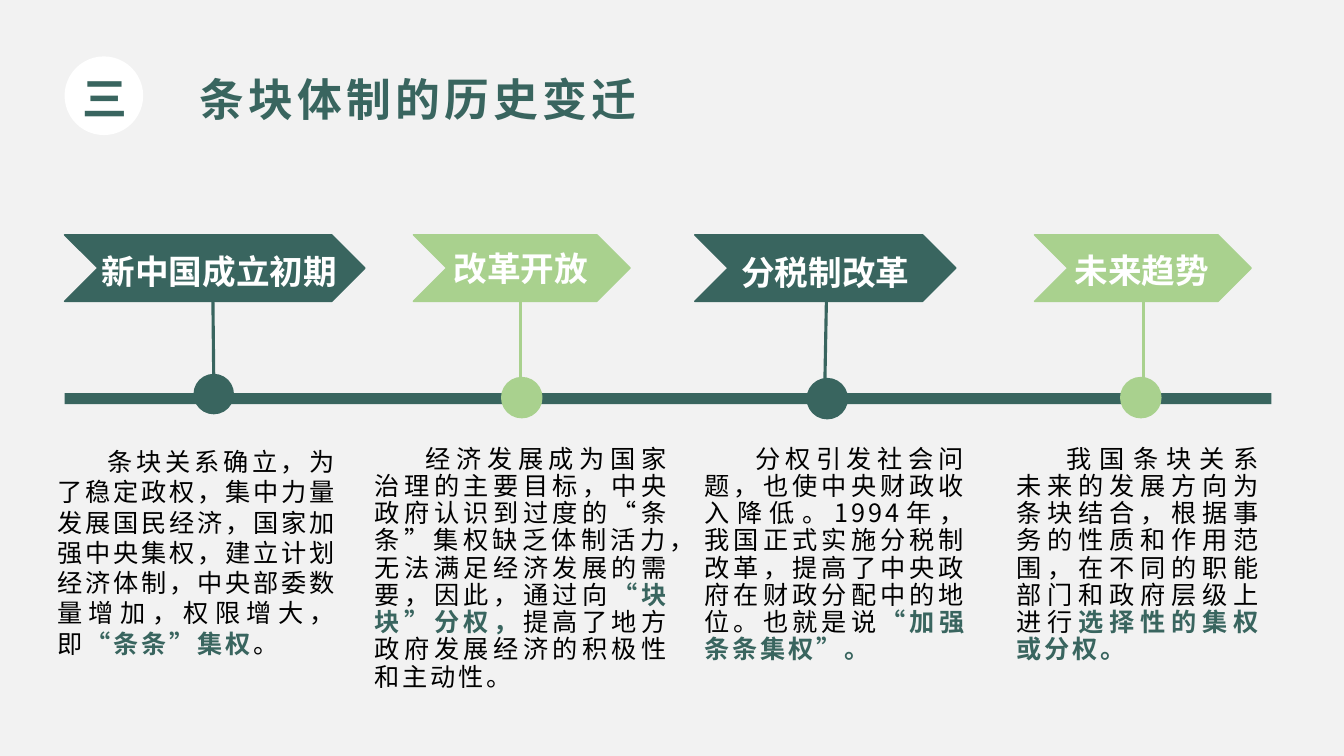
from lxml import etree
from pptx import Presentation
from pptx.dml.color import RGBColor
from pptx.enum.shapes import MSO_CONNECTOR, MSO_SHAPE
from pptx.enum.text import MSO_ANCHOR, MSO_AUTO_SIZE, PP_ALIGN
from pptx.oxml.ns import qn
from pptx.util import Inches, Pt

CENTER, JUSTIFY, LEFT = PP_ALIGN.CENTER, PP_ALIGN.JUSTIFY, PP_ALIGN.LEFT
TOP, MIDDLE = MSO_ANCHOR.TOP, MSO_ANCHOR.MIDDLE
RECTANGLE, ROUNDED = MSO_SHAPE.RECTANGLE, MSO_SHAPE.ROUNDED_RECTANGLE
OVAL, CHEVRON = MSO_SHAPE.OVAL, MSO_SHAPE.CHEVRON
STRAIGHT = MSO_CONNECTOR.STRAIGHT
GROW = MSO_AUTO_SIZE.SHAPE_TO_FIT_TEXT

FONT = "Noto Sans CJK SC"
COLORS = {"background": "F2F2F2", "dark": "39655F", "light": "A9D18E",
          "white": "FFFFFF", "black": "000000"}

# Content: boxes are (left, top, width, height), stems are (x1, y1, x2, y2), in inches
NUMBER, TITLE = "三", "条块体制的历史变迁"
CHEVRON_TOP, CHEVRON_HEIGHT, BODY_TOP = 2.33, 0.66, 4.38

STAGES = [
    {"label": "新中国成立初期", "color": "dark", "chevron": (0.64, 2.98),
     "label_box": (0.91, 2.24, 2.53, 0.71), "label_spacing": 1.5,
     "stem": (2.11, 2.81, 2.12, 3.73), "dot": (1.94, 3.73, 0.36),
     "body": (0.47, 2.98, 2.22), "spacing": 1.0,
     "runs": [("条块关系确立，为了稳定政权，集中力量发展国民经济，国家加强中央集权，"
               "建立计划经济体制，中央部委数量增加，权限增大，即", False),
              ("“条条”集权", True), ("。", False)]},
    {"label": "改革开放", "color": "light", "chevron": (4.1, 2.15),
     "label_box": (4.4, 2.41, 1.53, 0.5), "label_spacing": 1.0,
     "stem": (5.16, 2.81, 5.16, 4.03), "dot": (4.99, 3.76, 0.37),
     "body": (3.62, 3.12, 2.55), "spacing": 0.9,
     "runs": [("经济发展成为国家治理的主要目标，中央政府认识到过度的“条条”集权缺乏体制活力，"
               "无法满足经济发展的需要，因此，通过向", False),
              ("“块块”分权，", True),
              ("提高了地方政府发展经济的积极性和主动性。", False)]},
    {"label": "分税制改革", "color": "dark", "chevron": (6.89, 2.59),
     "label_box": None, "label_spacing": 1.5,
     "stem": (8.2, 2.81, 8.18, 3.86), "dot": (8.02, 3.77, 0.37),
     "body": (6.89, 2.8, 2.28), "spacing": 0.9,
     "runs": [("分权引发社会问题，也使中央财政收入降低。1994年，我国正式实施分税制改革，"
               "提高了中央政府在财政分配中的地位。也就是说", False),
              ("“加强条条集权”。", True)]},
    {"label": "未来趋势", "color": "light", "chevron": (10.26, 2.15),
     "label_box": (10.56, 2.23, 1.53, 0.71), "label_spacing": 1.5,
     "stem": (11.34, 2.73, 11.34, 3.95), "dot": (11.13, 3.76, 0.37),
     "body": (9.98, 2.63, 2.28), "spacing": 0.9,
     "runs": [("我国条块关系未来的发展方向为条块结合，根据事务的性质和作用范围，"
               "在不同的职能部门和政府层级上进行", False),
              ("选择性的集权或分权。", True)]},
]


def rgb(name):
    return RGBColor.from_string(COLORS[name])


def add_box(slide, kind, box, fill=None, line_width=0):
    shape = slide.shapes.add_shape(kind, *map(Inches, box))
    shape.shadow.inherit = False
    if fill:
        shape.fill.solid()
        shape.fill.fore_color.rgb = rgb(fill)
    else:
        shape.fill.background()
    if line_width:
        shape.line.color.rgb = rgb(fill)
        shape.line.width = Pt(line_width)
    else:
        shape.line.fill.background()
    return shape


def add_text_box(slide, box, wrap):
    text_box = slide.shapes.add_textbox(*map(Inches, box))
    text_box.text_frame.word_wrap = wrap
    text_box.text_frame.auto_size = GROW
    return text_box


def write(shape, runs, size, align=CENTER, tracking=0, spacing=1.0, anchor=TOP):
    """Write one paragraph of (text, color, bold) runs."""
    shape.text_frame.vertical_anchor = anchor
    paragraph = shape.text_frame.paragraphs[0]
    paragraph.alignment = align
    paragraph.line_spacing = spacing
    for text, color, bold in runs:
        run = paragraph.add_run()
        run.text = text
        run.font.size = Pt(size)
        run.font.bold = bold
        run.font.name = FONT
        run.font.color.rgb = rgb(color)
        properties = run.font._element
        etree.SubElement(properties, qn("a:ea")).set("typeface", FONT)
        if tracking:
            properties.set("spc", str(tracking * 100))
    return paragraph


def add_stem(slide, points, color):
    stem = slide.shapes.add_connector(STRAIGHT, *map(Inches, points))
    stem.line.color.rgb = rgb(color)
    stem.line.width = Pt(2.25)
    etree.SubElement(stem._element.spPr, qn("a:effectLst"))


def add_stage(slide, stage):
    color = stage["color"]
    add_stem(slide, stage["stem"], color)
    left, top, size = stage["dot"]
    add_box(slide, OVAL, (left, top, size, size), color, 3)

    # Chevron and its label
    left, width = stage["chevron"]
    label = add_box(slide, CHEVRON, (left, CHEVRON_TOP, width, CHEVRON_HEIGHT), color, 1)
    if stage["label_box"]:
        label = add_text_box(slide, stage["label_box"], False)
        anchor = TOP
    else:
        frame = label.text_frame
        frame.margin_left = frame.margin_right = 0
        frame.margin_top, frame.margin_bottom = Inches(0.08), Inches(0.2)
        anchor = MIDDLE
    align = CENTER if stage["label_spacing"] > 1 else LEFT
    write(label, [(stage["label"], "white", True)], 24, align,
          spacing=stage["label_spacing"], anchor=anchor)

    # Description
    left, width, height = stage["body"]
    body = add_box(slide, RECTANGLE, (left, BODY_TOP, width, height), "background")
    body.text_frame.word_wrap = True
    body.text_frame.auto_size = GROW
    runs = [(text, "dark" if strong else "black", strong) for text, strong in stage["runs"]]
    paragraph = write(body, runs, 18, JUSTIFY, 2, stage["spacing"])
    paragraph._p.get_or_add_pPr().set("indent", str(Inches(0.5)))


def main():
    presentation = Presentation()
    presentation.slide_width, presentation.slide_height = Inches(13.33), Inches(7.5)
    slide = presentation.slides.add_slide(presentation.slide_layouts[6])
    slide.background.fill.solid()
    slide.background.fill.fore_color.rgb = rgb("background")

    # Heading
    add_box(slide, OVAL, (0.64, 0.56, 0.78, 0.78), "white")
    number = add_text_box(slide, (0.47, 0.65, 1.14, 0.64), True)
    write(number, [(NUMBER, "dark", True)], 32, tracking=3)
    title = add_box(slide, ROUNDED, (1.89, 0.58, 4.51, 0.79))
    title.text_frame.word_wrap = False
    write(title, [(TITLE, "dark", True)], 32, tracking=3, anchor=MIDDLE)

    # Timeline
    add_box(slide, RECTANGLE, (0.64, 3.9, 11.97, 0.11), "dark")
    for stage in STAGES:
        add_stage(slide, stage)

    presentation.save("out.pptx")


if __name__ == "__main__":
    main()
